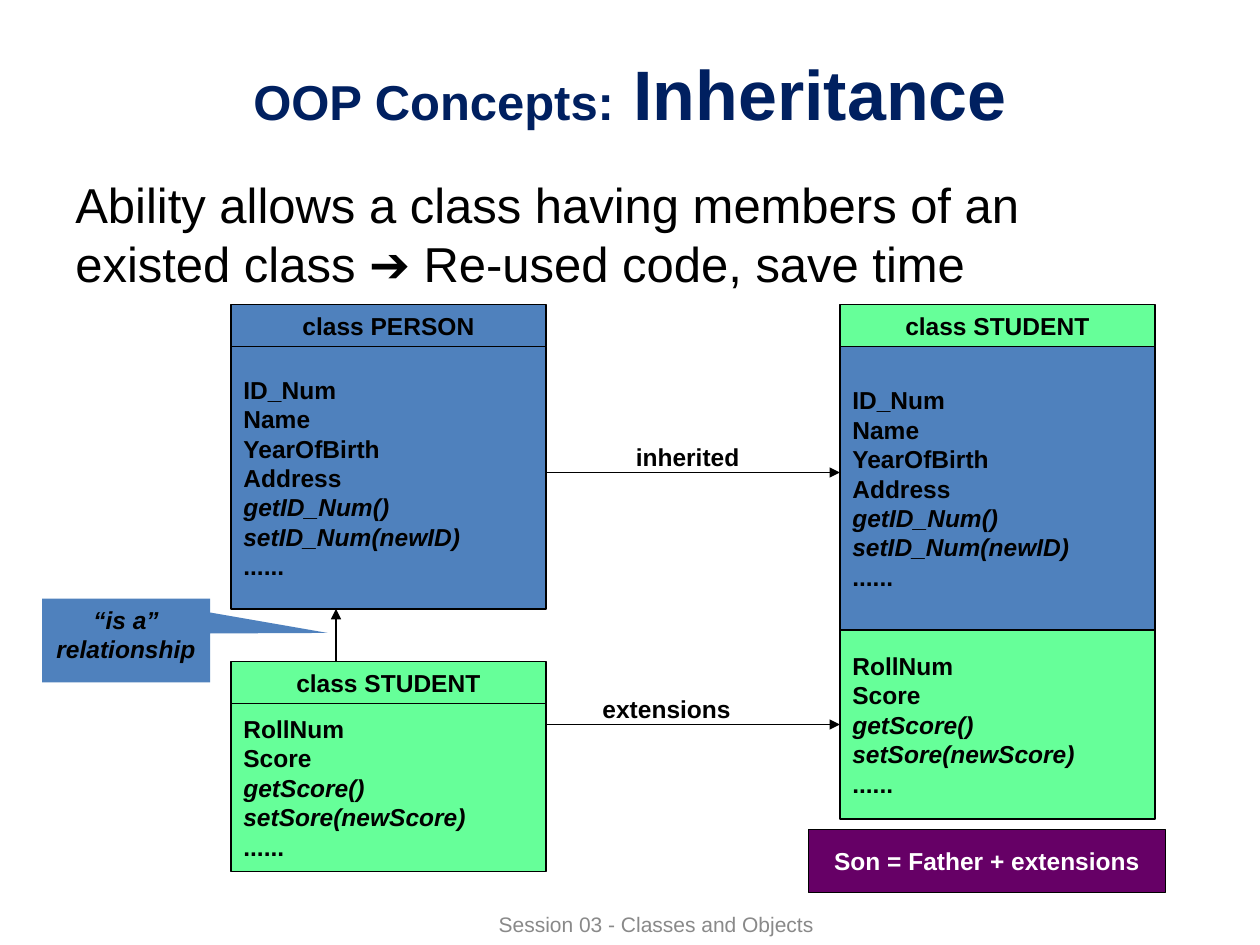
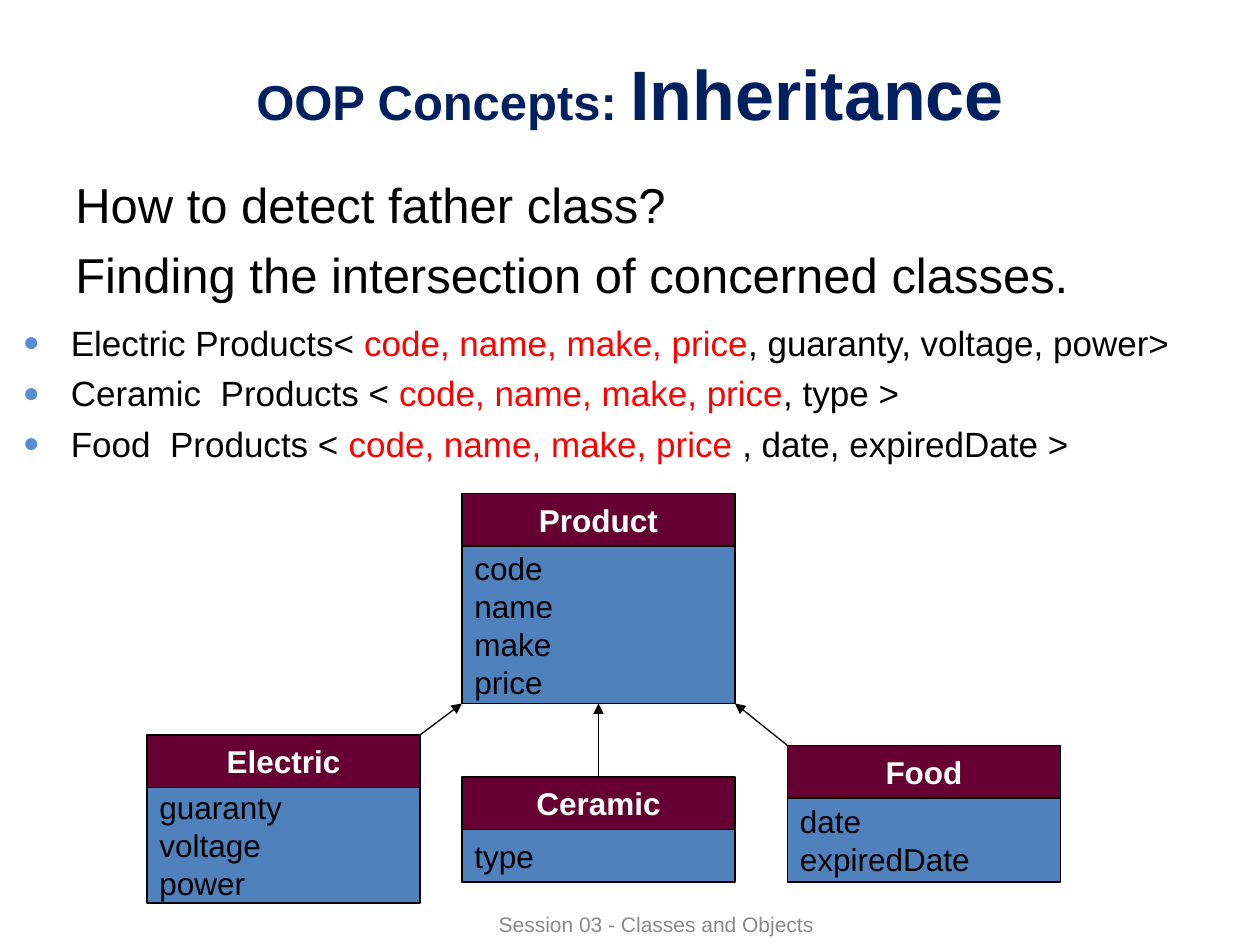
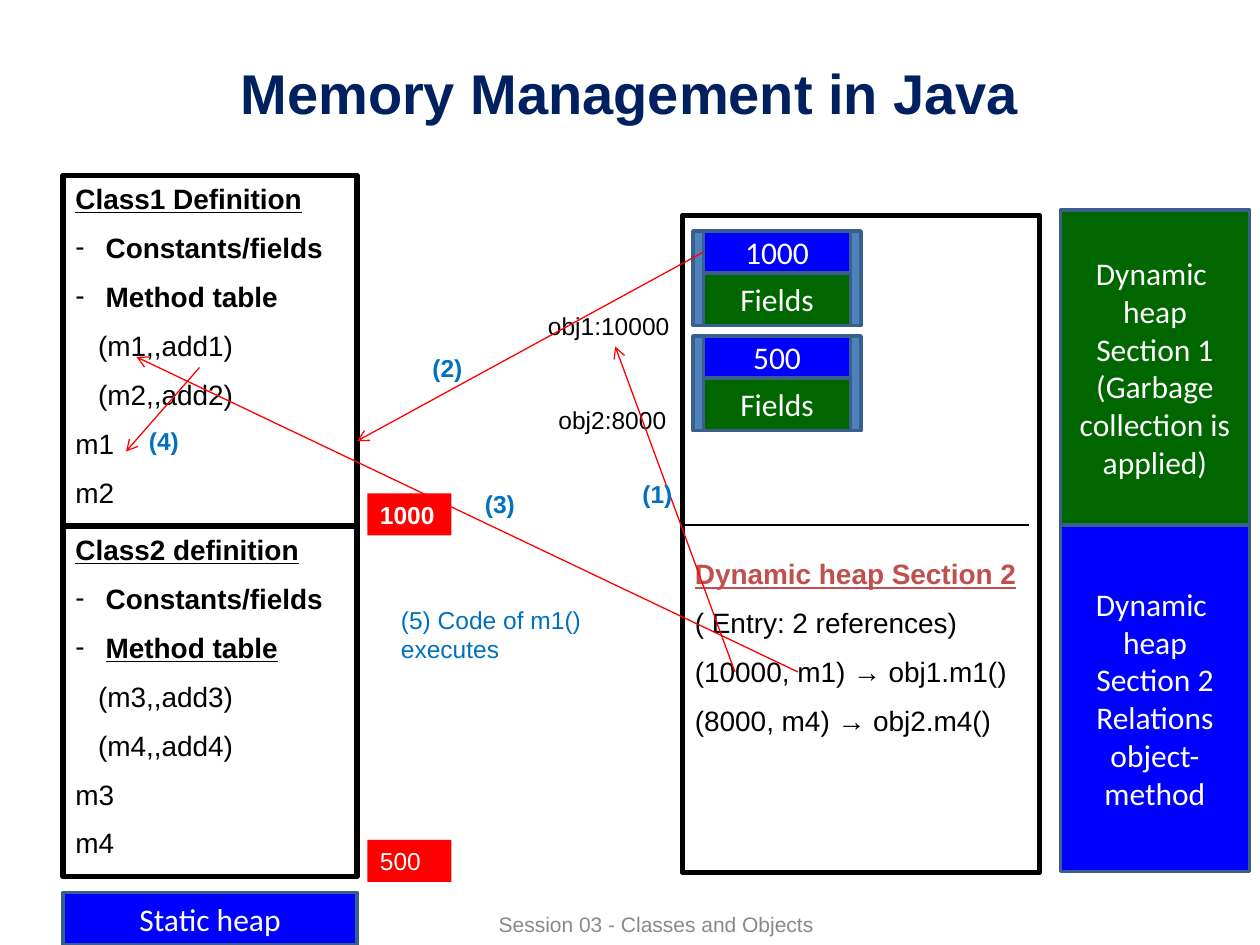
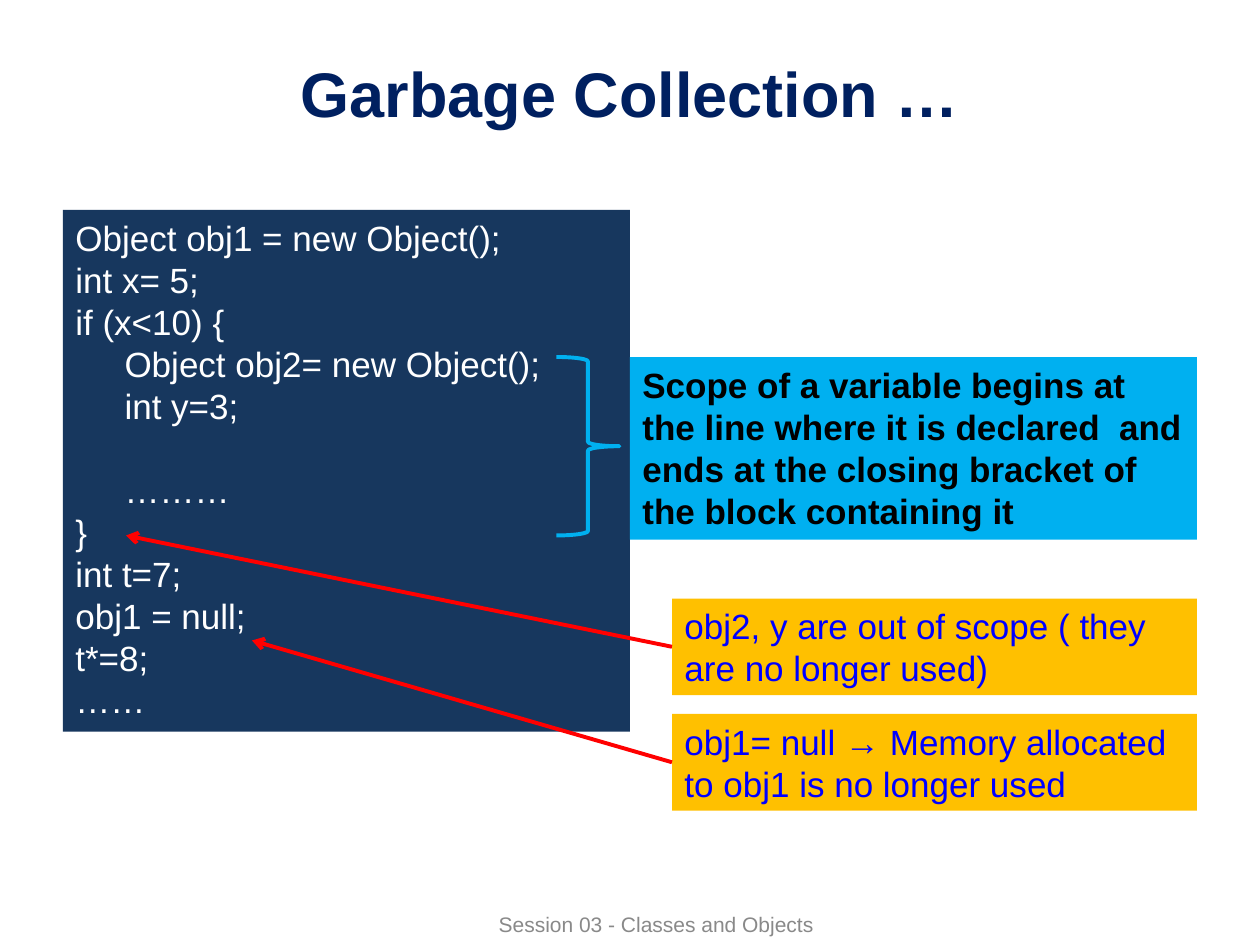
from lxml import etree
from pptx import Presentation
from pptx.dml.color import RGBColor
from pptx.enum.shapes import MSO_CONNECTOR, MSO_SHAPE
from pptx.enum.text import MSO_ANCHOR, PP_ALIGN
from pptx.oxml.ns import qn
from pptx.util import Inches, Pt

# The grid: 120 columns by 90 rows, 12 to the inch.
CELL = 1 / 12
COLS, ROWS = 120, 90

RECT = MSO_SHAPE.RECTANGLE
OVAL = MSO_SHAPE.OVAL
CALLOUT = MSO_SHAPE.RECTANGULAR_CALLOUT
BRACE = MSO_SHAPE.RIGHT_BRACE
STRAIGHT = MSO_CONNECTOR.STRAIGHT
LEFT, CENTER = PP_ALIGN.LEFT, PP_ALIGN.CENTER
TOP, MIDDLE = MSO_ANCHOR.TOP, MSO_ANCHOR.MIDDLE

INK = {
    "black": "000000", "white": "FFFFFF", "navy": "002060", "gray": "898989",
    "steel": "4F81BD", "edge": "3A5F8C", "mint": "66FF99", "plum": "660066",
    "wine": "660033", "red": "FF0000", "dot": "558ED5", "blue": "0000FF",
    "green": "006600", "brick": "C0504D", "azure": "0070C0", "deep": "17375E",
    "gold": "FFC000", "sky": "00B0F0",
}
STYLE = dict(size=14, color="black", font="Arial", bold=False, italic=False,
             under=False, align=LEFT, gap=0, indent=0, hang=0, bullet=None,
             dot=None, anchor=TOP, wrap=True, top=0.05)
FOOTER = "Session 03 - Classes and Objects"
STEP = dict(size=14, color="azure", bold=True)
BLOCK = dict(size=18, color="white", font="Calibri", align=CENTER, anchor=MIDDLE)


def ink(name):
    """Give the colour with this name."""
    return RGBColor.from_string(INK[name])


def at(*cells):
    """Turn grid cells into lengths."""
    return [Inches(n * CELL) for n in cells]


def mark(para, bullet, dot):
    """Put a bullet on a paragraph, with a smaller tinted dot if asked."""
    props = para._p.get_or_add_pPr()
    if dot:
        tint = etree.SubElement(props, qn("a:buClr"))
        etree.SubElement(tint, qn("a:srgbClr"), val=INK[dot])
        etree.SubElement(props, qn("a:buSzPct"), val="80000")
    etree.SubElement(props, qn("a:buFont"), typeface="Arial")
    etree.SubElement(props, qn("a:buChar"), char=bullet)


def write(frame, lines, **form):
    """Fill a frame; a line is a string or a list of (text, format) runs."""
    base = {**STYLE, **form}
    frame.word_wrap = base["wrap"]
    frame.vertical_anchor = base["anchor"]
    frame.margin_top = Inches(base["top"])
    for n, line in enumerate([lines] if isinstance(lines, str) else lines):
        runs = [(line, {})] if isinstance(line, str) else line
        para = frame.add_paragraph() if n else frame.paragraphs[0]
        look = {**base, **runs[0][1]}
        para.alignment = look["align"]
        para.space_before = Pt(look["gap"])
        props = para._p.get_or_add_pPr()
        props.set("marL", str(Inches(look["indent"])))
        props.set("indent", str(Inches(-look["hang"])))
        if look["bullet"]:
            mark(para, look["bullet"], look["dot"])
        for words, own in runs:
            look = {**base, **own}
            run = para.add_run()
            run.text = words
            font = run.font
            font.name, font.size = look["font"], Pt(look["size"])
            font.bold, font.italic = look["bold"], look["italic"]
            font.underline = look["under"]
            font.color.rgb = ink(look["color"])


def label(slide, cells, lines, **form):
    """Add a plain text box."""
    write(slide.shapes.add_textbox(*at(*cells)).text_frame, lines, **form)


def box(slide, cells, lines=(), fill=None, edge=None, width=0.75, kind=RECT,
        bend=(), **form):
    """Add a preset shape with fill, edge and text."""
    shape = slide.shapes.add_shape(kind, *at(*cells))
    shape.shadow.inherit = False
    for n, value in enumerate(bend):
        shape.adjustments[n] = value
    if fill:
        shape.fill.solid()
        shape.fill.fore_color.rgb = ink(fill)
    else:
        shape.fill.background()
    if edge:
        shape.line.color.rgb = ink(edge)
        shape.line.width = Pt(width)
    else:
        shape.line.fill.background()
    if lines:
        write(shape.text_frame, lines, **form)


def link(slide, start, end, color="black", width=0.75, head="triangle"):
    """Draw a line from start to end, with an arrowhead at the end."""
    line = slide.shapes.add_connector(STRAIGHT, *at(*start, *end))
    line.line.color.rgb = ink(color)
    line.line.width = Pt(width)
    if head:
        etree.SubElement(line.line._get_or_add_ln(), qn("a:tailEnd"), type=head)
    etree.SubElement(line._element.spPr, qn("a:effectLst"))


def card(slide, x, y, wide, name, parts, tall, fill, **form):
    """Draw a class: a name bar over parts of (height, fill, lines)."""
    box(slide, (x, y, wide, tall), name, fill, "black", align=CENTER,
        anchor=MIDDLE, **{**form, "bold": True})
    y += tall
    for high, tone, lines in parts:
        box(slide, (x, y, wide, high), lines, tone, "black", anchor=MIDDLE,
            **{**form, "color": "black"})
        y += high


def page(deck, title, size):
    """Add a slide with its title and the footer."""
    slide = deck.slides.add_slide(deck.slide_layouts[6])
    label(slide, (6, 3.6, 108, 10.4), title, size=size, color="navy",
          bold=True, align=CENTER, anchor=MIDDLE)
    label(slide, (34, 86, 57, 4), FOOTER, size=12, color="gray",
          align=CENTER, anchor=MIDDLE)
    return slide


def intro(slide, lines):
    """Write the large opening text."""
    label(slide, (6, 16, 108, 14), lines, size=28, gap=6.7)


def slant(names):
    """Set the method names in italics."""
    return [[(name, {"italic": name.endswith(")")})] for name in names]


def reuse(deck):
    """Inheritance: a student extends a person."""
    slide = page(deck, [[("OOP Concepts:", {}), (" Inheritance", {"size": 40})]], 28)
    intro(slide, "Ability allows a class having members of an existed class "
                 "\u2794 Re-used code, save time")
    person = slant(["ID_Num", "Name", "YearOfBirth", "Address", "getID_Num()",
                    "setID_Num(newID)", "......"])
    extra = slant(["RollNum", "Score", "getScore()", "setSore(newScore)", "......"])
    form = dict(size=14, bold=True)
    for x, y, name, fill, parts in [
        (22, 29, "PERSON", "steel", [(25, "steel", person)]),
        (22, 63, "STUDENT", "mint", [(16, "mint", extra)]),
        (80, 29, "STUDENT", "mint", [(27, "steel", person), (18, "mint", extra)]),
    ]:
        card(slide, x, y, 30, "class " + name, parts, 4, fill, **form)
    box(slide, (4, 57, 16, 8), "\u201cis a\u201d relationship", "steel",
        kind=CALLOUT, bend=(1.2, -0.09), italic=True, align=CENTER, **form)
    link(slide, (32, 63), (32, 58))
    for x, y, wide, name, row in [(59, 37, 13, "inherited", 45),
                                  (55, 61, 17, "extensions", 69)]:
        box(slide, (x, y, wide, 13), name, kind=OVAL, align=CENTER,
            anchor=MIDDLE, wrap=False, **form)
        link(slide, (52, row), (80, row))
    box(slide, (77, 79, 34, 6), "Son = Father + extensions", "plum", "black",
        color="white", align=CENTER, anchor=MIDDLE, **form)


def father(deck):
    """Inheritance: find the shared members."""
    slide = page(deck, [[("OOP Concepts: ", {}), ("Inheritance", {"size": 40})]], 28)
    intro(slide, ["How to detect father class?",
                  "Finding the intersection of concerned classes."])
    shared = ("code, name, make, price", {"color": "red"})
    goods = [("Electric Products< ", ", guaranty, voltage, power>"),
             ("Ceramic  Products < ", ", type >"),
             ("Food  Products < ", " , date, expiredDate >")]
    label(slide, (1, 30, 117, 16),
          [[(name, {}), shared, (rest, {})] for name, rest in goods],
          size=20, gap=4.8, indent=0.38, hang=0.38, bullet="\u25cf", dot="dot")
    for x, y, name, high, lines in [
        (44, 47, "Product", 15, ["code", "name", "make", "price"]),
        (14, 70, "Electric", 11, ["guaranty", "voltage", "power"]),
        (44, 74, "Ceramic", 5, ["type"]),
        (75, 71, "Food", 8, ["date", "expiredDate"]),
    ]:
        card(slide, x, y, 26, name, [(high, "steel", lines)], 5, "wine",
             size=18, color="white")
    for start, x in [((40, 70), 44), ((57, 74), 57), ((75, 71), 70)]:
        link(slide, start, (x, 67))


def static(slide, y, title, pair, under):
    """Draw one class definition of the static heap."""
    strong = {"bold": True}
    item = dict(strong, bullet="-", indent=0.24, hang=0.24)
    lines = [[(title, dict(strong, under=True))],
             [("Constants/fields", item)],
             [("Method table", dict(item, under=under))]]
    lines += [[(f"(m{n},,add{n})", {"indent": 0.18})] for n in pair]
    lines += [f"m{n}" for n in pair]
    box(slide, (6, y, 28, 33.4), lines, edge="black", width=3, size=16, gap=8.8)


def memory(deck):
    """Memory: the static heap and both dynamic heaps."""
    slide = page(deck, "Memory Management in Java", 32)
    static(slide, 16.7, "Class1 Definition", (1, 2), False)
    static(slide, 50.1, "Class2 definition", (3, 4), True)
    box(slide, (65, 20.5, 34, 62.6),
        [[("Dynamic heap Section 2", dict(color="brick", bold=True, under=True))],
         "( Entry: 2 references)", "(10000, m1) \u2192 obj1.m1()",
         "(8000, m4) \u2192 obj2.m4()"],
        edge="black", width=3, size=16, gap=8.8, top=2.71)
    rim = dict(edge="edge", width=2)
    for cells, fill, lines in [
        ((6, 85, 28, 5), "blue", "Static heap"),
        ((101, 20, 18, 30), "green",
         ["Dynamic  heap", "Section 1", "(Garbage collection is applied)"]),
        ((101, 50, 18, 33), "blue",
         ["Dynamic  heap", "Section 2 Relations object-method"]),
    ]:
        box(slide, cells, lines, fill, **rim, **BLOCK)
    for y, code, row, bold in [(22, "1000", 47, True), (32, "500", 80, False)]:
        box(slide, (35, row, 8, 4), code, "red", color="white", bold=bold)
        box(slide, (66, y, 16, 9), fill="steel", **rim)
        box(slide, (67, y, 14, 4), code, "blue", **rim, **BLOCK)
        box(slide, (67, y + 4, 14, 5), "Fields", "green", **rim, **BLOCK)
    label(slide, (51, 29, 15, 4), "obj1:10000")
    label(slide, (52, 38, 15, 4), "obj2:8000")
    link(slide, (65, 50), (98, 50), head=None)
    for start, end in [((70, 64), (58.6, 33)), ((67, 24), (34, 42)),
                       ((19, 35), (12, 43)), ((76, 64), (13, 34))]:
        link(slide, start, end, "red", head="arrow")
    for n, (x, y) in enumerate([(60, 45), (40, 33), (45, 46), (13, 40)], 1):
        label(slide, (x, y, 8, 4), f"({n})", **STEP)
    label(slide, (37, 57, 21, 7), "(5) Code of m1() executes",
          **{**STEP, "bold": False})


def garbage(deck):
    """Garbage: code with notes on scope."""
    slide = page(deck, "Garbage Collection \u2026", 36)
    inner = {"indent": 0.39}
    box(slide, (6, 20, 54, 49.7),
        ["Object obj1 = new Object();", "int x= 5;", "if (x<10) {",
         [("Object obj2= new Object();", inner)], [("int y=3;", inner)],
         [("\u2026\u2026\u2026", dict(inner, gap=24))],
         "}", "int t=7;", "obj1 = null;", "t*=8;", "\u2026\u2026"],
        "deep", size=20, color="white")
    box(slide, (60, 34, 54, 17.4),
        "Scope of a variable begins at the line where it is declared  and "
        "ends at the closing bracket of the block containing it",
        "sky", size=20, bold=True)
    for y, words, end in [
        (57, "obj2, y are out of scope ( they are no longer used)", (12, 51)),
        (68, "obj1= null \u2192 Memory allocated to obj1 is no longer used", (24, 61)),
    ]:
        box(slide, (64, y, 50, 9.2), words, "gold", size=20, color="blue")
        link(slide, (64, y + 4.6), end, "red", 2.25, "arrow")
    box(slide, (53, 34, 6, 17), edge="sky", width=2.25, kind=BRACE,
        bend=(0.07, 0.5))


def main():
    """Build the deck and save it."""
    deck = Presentation()
    deck.slide_width, deck.slide_height = at(COLS, ROWS)
    for build in (reuse, father, memory, garbage):
        build(deck)
    deck.save("out.pptx")


main()
